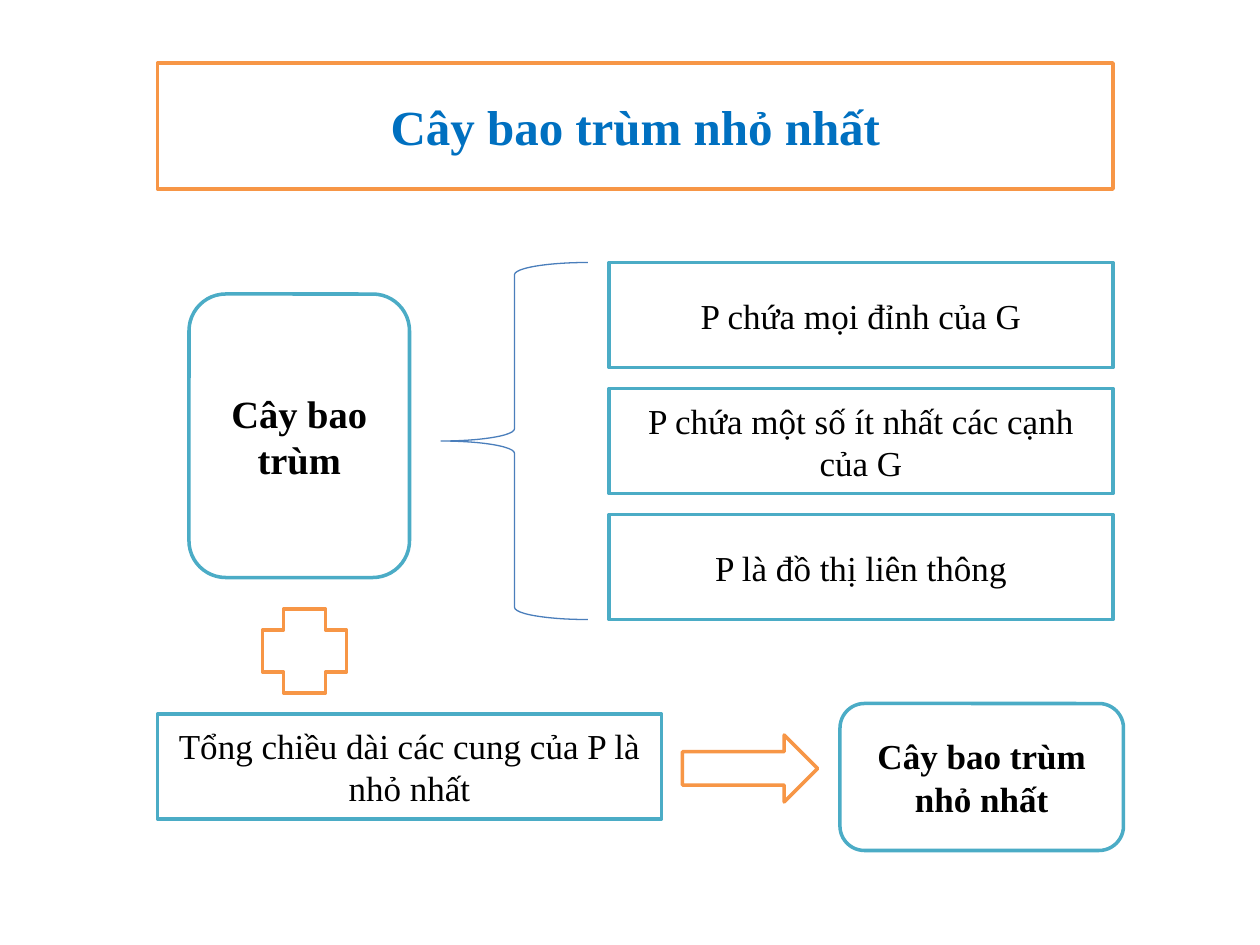
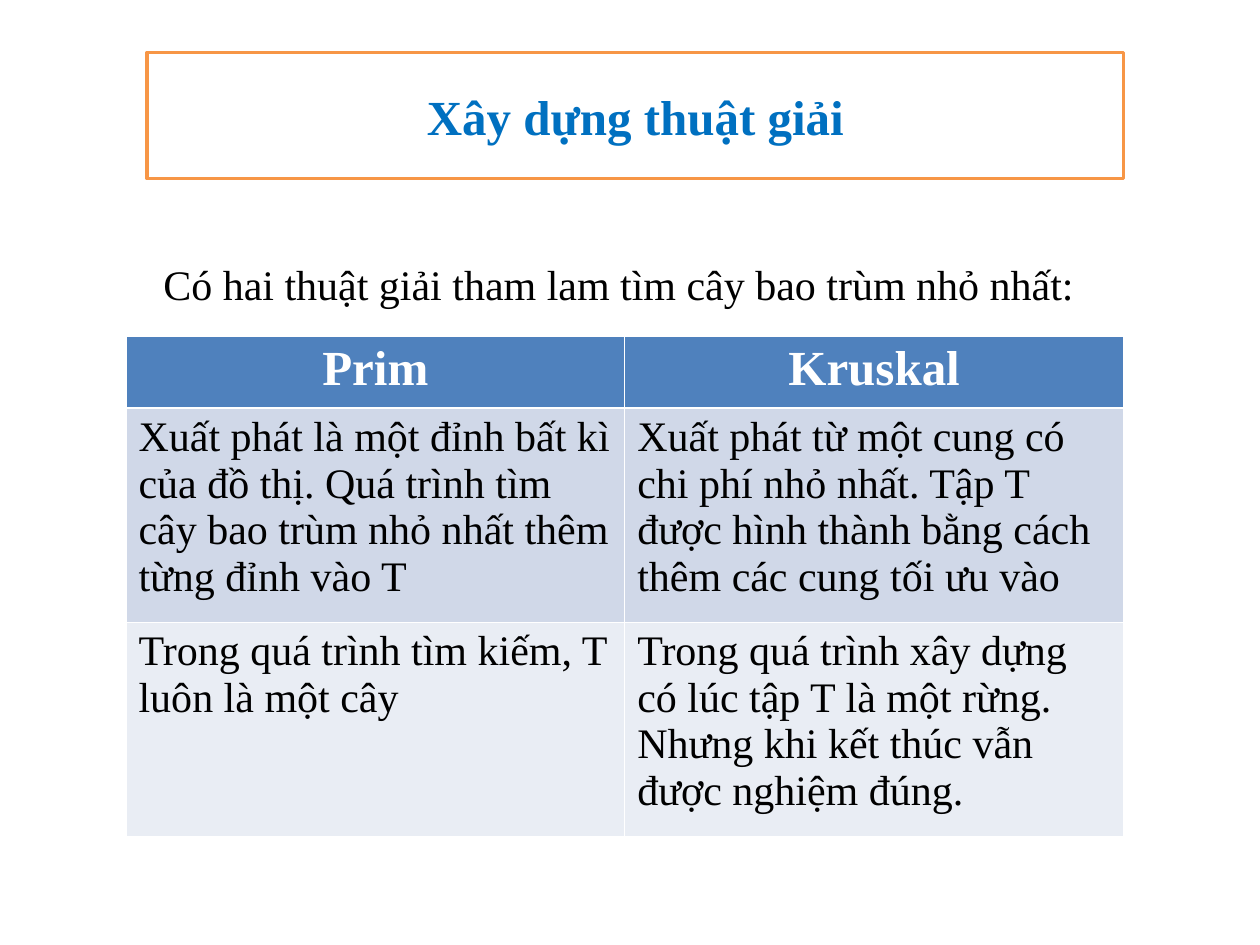
from dataclasses import dataclass
from typing import Optional

from pptx import Presentation
from pptx import oxml
from pptx import util as u
from pptx.dml.color import RGBColor
from pptx.enum import shapes, text
from pptx.oxml import ns

EMU_PER_PX = 9525  # 96 px to the inch


@dataclass(frozen=True)
class Theme:
    font: str = "Times New Roman"
    paper: str = "FFFFFF"
    ink: str = "000000"
    title: str = "0070C0"
    orange: str = "F79646"
    teal: str = "4BACC6"
    brace: str = "4A7EBB"
    header: str = "4F81BD"
    rows: tuple = ("D0D8E8", "E9EDF4")
    title_size: int = 28
    text_size: int = 24
    root_size: int = 22
    box_size: int = 20
    outline: float = 2
    thin: float = 0.75
    grid: float = 0.45
    header_rule: float = 1.47


THEME = Theme()
SHAPE = shapes.MSO_SHAPE
CENTER = text.PP_ALIGN.CENTER
LEFT = text.PP_ALIGN.LEFT


@dataclass(frozen=True)
class Area:
    left: int
    top: int
    width: int
    height: int

    def emu(self) -> tuple:
        return tuple(px(n) for n in (self.left, self.top, self.width, self.height))


@dataclass(frozen=True)
class Node:
    area: Area
    words: str = ""
    kind: SHAPE = SHAPE.RECTANGLE
    line: str = THEME.teal
    size: int = THEME.box_size
    bold: bool = False


def px(length: int) -> u.Emu:
    return u.Emu(length * EMU_PER_PX)


def color(value: str) -> RGBColor:
    return RGBColor.from_string(value)


def write(frame, words: str, size: int, ink: str = THEME.ink,
          bold: bool = False, align=CENTER) -> None:
    para = frame.paragraphs[0]
    para.alignment = align
    span = para.add_run()
    span.text = words
    span.font.name = THEME.font
    span.font.size = u.Pt(size)
    span.font.bold = bold
    span.font.color.rgb = color(ink)


def paint(box, line: str, width: float, fill: Optional[str] = THEME.paper) -> None:
    if fill:
        box.fill.solid()
        box.fill.fore_color.rgb = color(fill)
    else:
        box.fill.background()
    box.line.color.rgb = color(line)
    box.line.width = u.Pt(width)


def add_page(deck, title: str, area: Area):
    """Add a page whose title sits in a rounded orange band."""
    page = deck.slides.add_slide(deck.slide_layouts.get_by_name("Title Only"))
    box = page.shapes.title
    box.left, box.top, box.width, box.height = area.emu()
    box.element.spPr.insert(1, oxml.parse_xml(
        f'<a:prstGeom {ns.nsdecls("a")} prst="roundRect"><a:avLst/></a:prstGeom>'))
    paint(box, THEME.orange, THEME.outline)
    box.text_frame.auto_size = text.MSO_AUTO_SIZE.NONE
    box.text_frame.vertical_anchor = text.MSO_ANCHOR.MIDDLE
    write(box.text_frame, title, THEME.title_size, THEME.title, bold=True)
    return page


def add_node(page, node: Node) -> None:
    box = page.shapes.add_shape(node.kind, *node.area.emu())
    box.shadow.inherit = False
    paint(box, node.line, THEME.outline)
    if node.words:
        box.text_frame.word_wrap = True
        box.text_frame.vertical_anchor = text.MSO_ANCHOR.MIDDLE
        write(box.text_frame, node.words, node.size, bold=node.bold)


def add_brace(page, area: Area) -> None:
    brace = page.shapes.add_shape(SHAPE.LEFT_BRACE, *area.emu())
    brace.shadow.inherit = False
    paint(brace, THEME.brace, THEME.thin, fill=None)


def set_borders(cell, top: float, bottom: float) -> None:
    widths = {"lnL": THEME.grid, "lnR": THEME.grid, "lnT": top, "lnB": bottom}
    properties = cell._tc.get_or_add_tcPr()
    for place, (tag, width) in enumerate(widths.items()):
        properties.insert(place, oxml.parse_xml(
            f'<a:{tag} {ns.nsdecls("a")} w="{u.Pt(width)}"><a:solidFill>'
            f'<a:srgbClr val="{THEME.paper}"/></a:solidFill></a:{tag}>'))


def add_comparison(page, area: Area, header_height: int, rows: list) -> None:
    """Add a table with a header row and equal body rows."""
    columns = len(rows[0])
    table = page.shapes.add_table(len(rows), columns, *area.emu()).table
    for column in table.columns:
        column.width = px(area.width // columns)
    body_height = (area.height - header_height) // (len(rows) - 1)
    for r, row in enumerate(rows):
        header = r == 0
        table.rows[r].height = px(header_height if header else body_height)
        fill = THEME.header if header else THEME.rows[(r - 1) % 2]
        for c, words in enumerate(row):
            cell = table.cell(r, c)
            cell.fill.solid()
            cell.fill.fore_color.rgb = color(fill)
            set_borders(cell,
                        top=THEME.header_rule if r == 1 else THEME.grid,
                        bottom=THEME.header_rule if header else THEME.grid)
            if header:
                write(cell.text_frame, words, THEME.title_size, THEME.paper, bold=True)
            else:
                write(cell.text_frame, words, THEME.text_size, align=LEFT)


def build_spanning_tree(deck) -> None:
    page = add_page(deck, "Cây bao trùm nhỏ nhất", Area(120, 48, 728, 96))

    # Conditions on the right, gathered by the brace
    conditions = ["P chứa mọi đỉnh của G",
                  "P chứa một số ít nhất các cạnh của G",
                  "P là đồ thị liên thông"]
    for i, condition in enumerate(conditions):
        add_node(page, Node(Area(464, 200 + 96 * i, 384, 80), condition))
    add_brace(page, Area(336, 200, 112, 272))

    # Spanning tree plus shortest length gives the minimum tree
    for node in (
        Node(Area(144, 224, 168, 216), "Cây bao trùm", SHAPE.ROUNDED_RECTANGLE,
             size=THEME.root_size, bold=True),
        Node(Area(200, 464, 64, 64), kind=SHAPE.CROSS, line=THEME.orange),
        Node(Area(120, 544, 384, 80), "Tổng chiều dài các cung của P là nhỏ nhất"),
        Node(Area(520, 560, 103, 51), kind=SHAPE.RIGHT_ARROW, line=THEME.orange),
        Node(Area(640, 536, 216, 112), "Cây bao trùm nhỏ nhất",
             SHAPE.ROUNDED_RECTANGLE, bold=True),
    ):
        add_node(page, node)


def build_algorithms(deck) -> None:
    page = add_page(deck, "Xây dựng thuật giải", Area(112, 40, 744, 96))

    # Comparison of the two algorithms
    add_comparison(page, Area(96, 256, 760, 381), 55, [
        ("Prim", "Kruskal"),
        ("Xuất phát là một đỉnh bất kì của đồ thị. Quá trình tìm cây bao trùm "
         "nhỏ nhất thêm từng đỉnh vào T",
         "Xuất phát từ một cung có chi phí nhỏ nhất. Tập T được hình thành "
         "bằng cách thêm các cung tối ưu vào"),
        ("Trong quá trình tìm kiếm, T luôn là một cây",
         "Trong quá trình xây dựng có lúc tập T là một rừng. Nhưng khi kết "
         "thúc vẫn được nghiệm đúng."),
    ])

    # Lead-in line
    box = page.shapes.add_textbox(*Area(115, 192, 713, 48).emu())
    box.text_frame.word_wrap = False
    write(box.text_frame, "Có hai thuật giải tham lam tìm cây bao trùm nhỏ nhất:",
          THEME.text_size, align=LEFT)


def main() -> None:
    deck = Presentation()
    deck.slide_width, deck.slide_height = px(960), px(720)
    build_spanning_tree(deck)
    build_algorithms(deck)
    deck.save("out.pptx")


if __name__ == "__main__":
    main()
